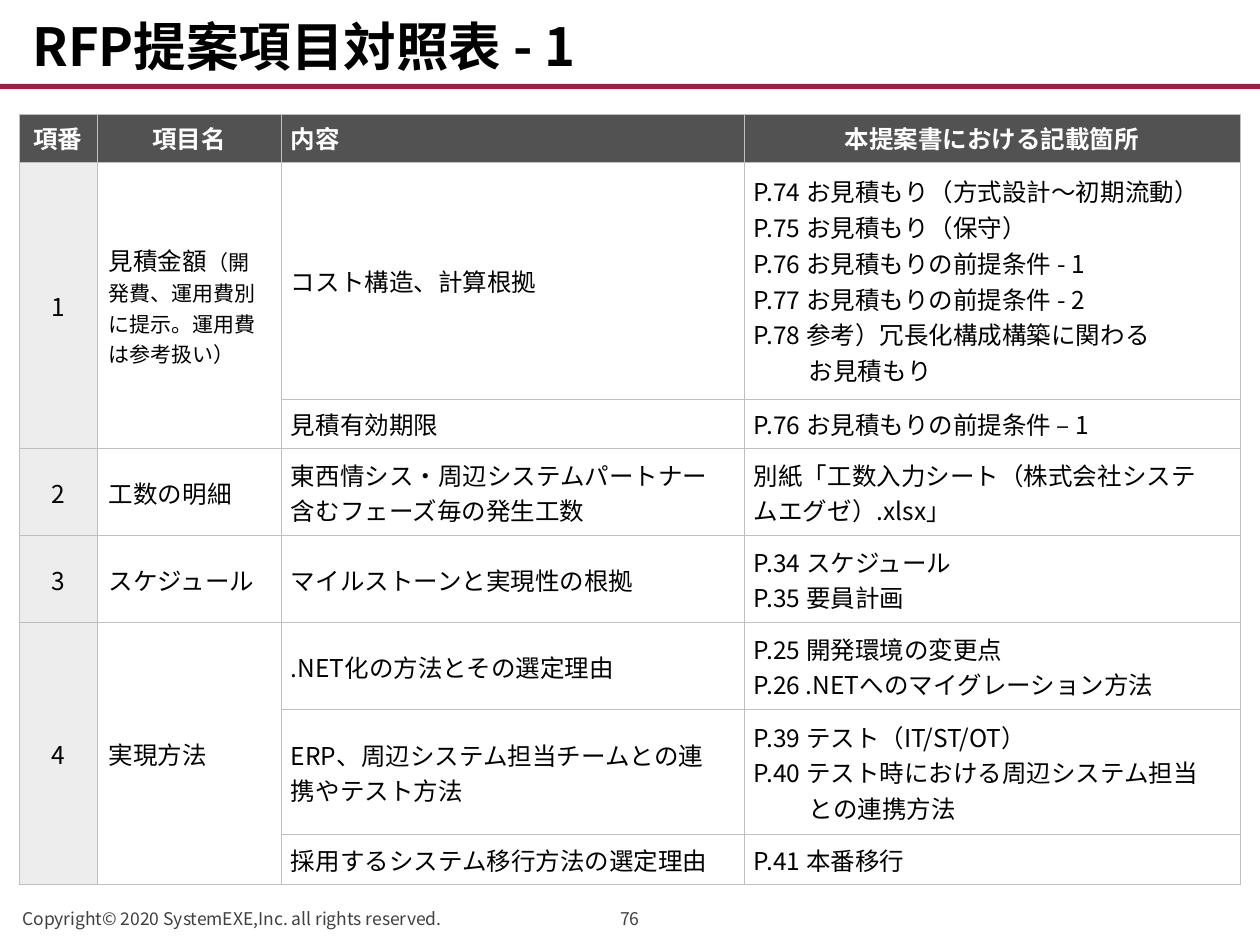
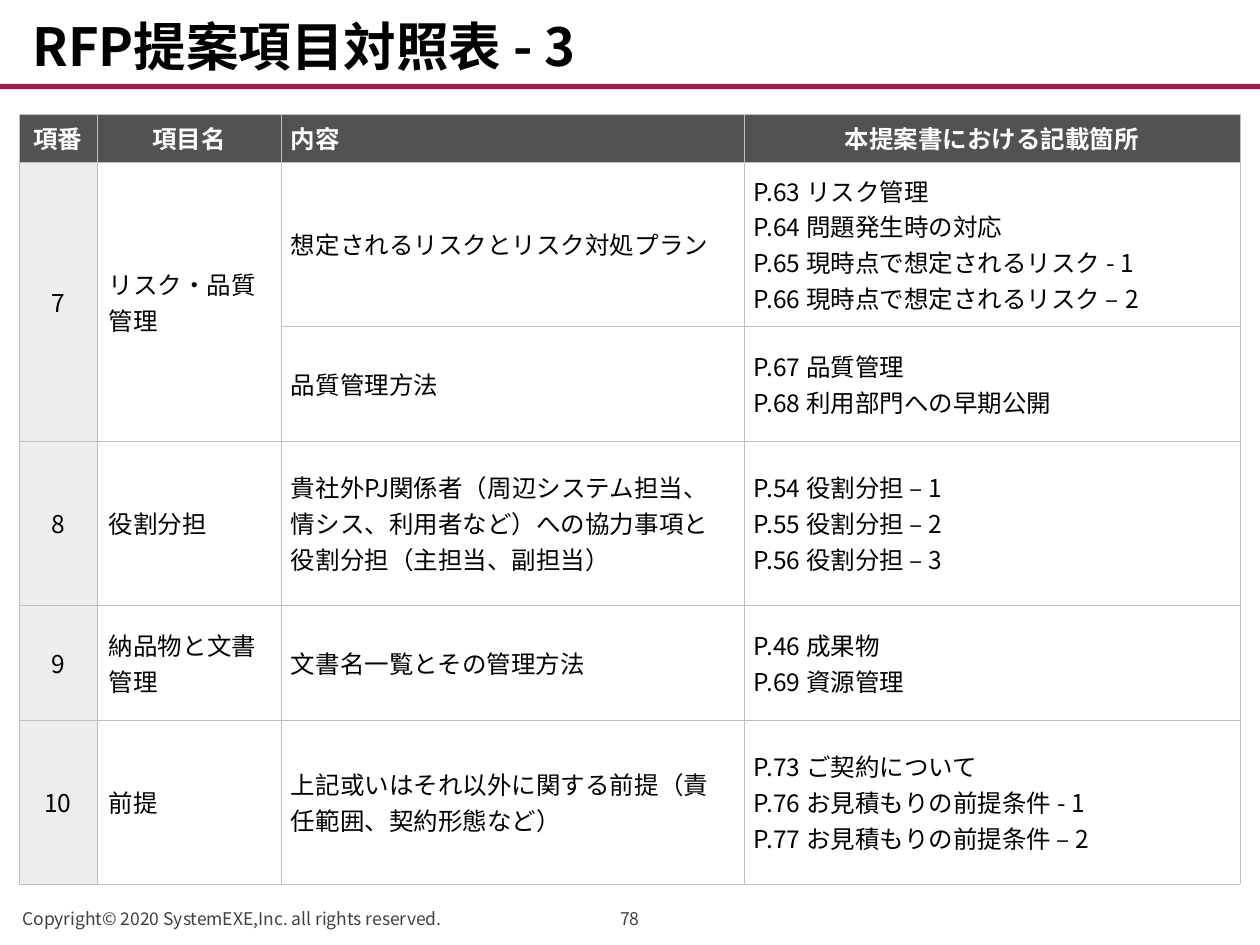
from dataclasses import dataclass

from lxml import etree
from pptx import Presentation
from pptx.dml.color import RGBColor
from pptx.enum.shapes import MSO_SHAPE
from pptx.enum.text import MSO_ANCHOR, PP_ALIGN
from pptx.oxml.ns import qn
from pptx.util import Pt

RECT = MSO_SHAPE.RECTANGLE
MIDDLE, BOTTOM = MSO_ANCHOR.MIDDLE, MSO_ANCHOR.BOTTOM
LEFT, CENTER = PP_ALIGN.LEFT, PP_ALIGN.CENTER


@dataclass(frozen=True)
class Theme:
    font: str = "Noto Sans CJK JP"
    black: str = "000000"
    white: str = "FFFFFF"
    accent: str = "A01D45"
    footer: str = "404040"
    header: str = "525252"
    number: str = "EDEDED"
    border: str = "BFBFBF"
    title_size: int = 30
    body_size: int = 14
    note_size: int = 12
    footer_size: int = 10
    border_width: float = 0.5


T = Theme()
EMU_PER_PX = 914400 / 126
SLIDE_W, SLIDE_H = 1260, 945
TITLE_BOX = (20, 5, 1221, 79)
RULE_BOX = (0, 84, SLIDE_W, 5)
TABLE_BOX = (19, 114, 1221)
COPYRIGHT_BOX = (10, 896, 535, 39)
PAGE_BOX = (580, 896, 100, 39)

COLUMNS = [78, 184, 463, 496]
HEADER_H = 48
HEADERS = [("項番", CENTER), ("項目名", CENTER), ("内容", LEFT),
           ("本提案書における記載箇所", CENTER)]
HEADER_INSETS = (10, 6, 10, 6)
ITEM_INSETS = (12, 5, 12, 5)
DETAIL_INSETS = (10, 5, 30, 5)
HANG = 55
COPYRIGHT = "Copyright© 2020 SystemEXE,Inc. all rights reserved."

SLIDES = [
    ("RFP提案項目対照表 - 1", "76", [
        ("1", "見積金額", "（開発費、運用費別に提示。運用費は参考扱い）", [
            (237, ["コスト構造、計算根拠"],
             ["P.74 お見積もり（方式設計～初期流動）",
              "P.75 お見積もり（保守）",
              "P.76 お見積もりの前提条件 - 1",
              "P.77 お見積もりの前提条件 - 2",
              "P.78 参考）冗長化構成構築に関わる",
              ("お見積もり", HANG)]),
            (50, ["見積有効期限"], ["P.76 お見積もりの前提条件 – 1"]),
        ]),
        ("2", "工数の明細", "", [
            (87, ["東西情シス・周辺システムパートナー含むフェーズ毎の発生工数"],
             ["別紙「工数入力シート（株式会社システムエグゼ）.xlsx」"]),
        ]),
        ("3", "スケジュール", "", [
            (87, ["マイルストーンと実現性の根拠"],
             ["P.34 スケジュール", "P.35 要員計画"]),
        ]),
        ("4", "実現方法", "", [
            (87, [".NET化の方法とその選定理由"],
             ["P.25 開発環境の変更点", "P.26 .NETへのマイグレーション方法"]),
            (125, ["ERP、周辺システム担当チームとの連携やテスト方法"],
             ["P.39 テスト（IT/ST/OT）",
              "P.40 テスト時における周辺システム担当",
              ("との連携方法", HANG)]),
            (50, ["採用するシステム移行方法の選定理由"], ["P.41 本番移行"]),
        ]),
    ]),
    ("RFP提案項目対照表 - 3", "78", [
        ("7", "リスク・品質管理", "", [
            (164, ["想定されるリスクとリスク対処プラン"],
             ["P.63 リスク管理",
              "P.64 問題発生時の対応",
              "P.65 現時点で想定されるリスク - 1",
              "P.66 現時点で想定されるリスク – 2"]),
            (115, ["品質管理方法"],
             ["P.67 品質管理", "P.68 利用部門への早期公開"]),
        ]),
        ("8", "役割分担", "", [
            (164, ["貴社外PJ関係者（周辺システム担当、情シス、利用者など）への協力事項と",
                   "役割分担（主担当、副担当）"],
             ["P.54 役割分担 – 1", "P.55 役割分担 – 2", "P.56 役割分担 – 3"]),
        ]),
        ("9", "納品物と文書管理", "", [
            (115, ["文書名一覧とその管理方法"],
             ["P.46 成果物", "P.69 資源管理"]),
        ]),
        ("10", "前提", "", [
            (164, ["上記或いはそれ以外に関する前提（責任範囲、契約形態など）"],
             ["P.73 ご契約について",
              "P.76 お見積もりの前提条件 - 1",
              "P.77 お見積もりの前提条件 – 2"]),
        ]),
    ]),
]


def px(n):
    return round(n * EMU_PER_PX)


def rgb(color):
    return RGBColor.from_string(color)


def add_run(p, text, size, color, bold=False):
    r = p.add_run()
    r.text = text
    r.font.size, r.font.bold, r.font.name = Pt(size), bold, T.font
    r.font.color.rgb = rgb(color)
    etree.SubElement(r.font._element, qn("a:ea"), typeface=T.font)


def add_text(s, box, text, size, color, bold=False, align=LEFT, wrap=True):
    tf = s.shapes.add_textbox(*map(px, box)).text_frame
    tf.word_wrap, tf.vertical_anchor = wrap, BOTTOM
    p = tf.paragraphs[0]
    p.alignment = align
    add_run(p, text, size, color, bold)
    return p


def add_borders(cell):
    tc_pr = cell._tc.get_or_add_tcPr()
    for side in ("lnL", "lnR", "lnT", "lnB"):
        ln = etree.SubElement(tc_pr, qn(f"a:{side}"), w=str(Pt(T.border_width)))
        fill = etree.SubElement(ln, qn("a:solidFill"))
        etree.SubElement(fill, qn("a:srgbClr"), val=T.border)


def style_cell(cell, fill, insets):
    add_borders(cell)
    cell.fill.solid()
    cell.fill.fore_color.rgb = rgb(fill)
    cell.vertical_anchor = MIDDLE
    (cell.margin_left, cell.margin_top,
     cell.margin_right, cell.margin_bottom) = map(px, insets)


def fill_cell(cell, lines, color=T.black, bold=False, align=LEFT):
    tf = cell.text_frame
    for i, line in enumerate(lines):
        text, indent = line if isinstance(line, tuple) else (line, 0)
        p = tf.paragraphs[0] if i == 0 else tf.add_paragraph()
        p.alignment = align
        if indent:
            p._p.get_or_add_pPr().set("marL", str(px(indent)))
        add_run(p, text, T.body_size, color, bold)


def add_header(table):
    table.rows[0].height = px(HEADER_H)
    for cell, (text, align) in zip(table.rows[0].cells, HEADERS):
        style_cell(cell, T.header, HEADER_INSETS)
        fill_cell(cell, [text], T.white, True, align)


def add_item(table, top, number, name, note, details):
    for row, (height, content, pages) in enumerate(details, top):
        table.rows[row].height = px(height)
        cells = list(table.rows[row].cells)
        style_cell(cells[0], T.number, ITEM_INSETS)
        style_cell(cells[1], T.white, ITEM_INSETS)
        for cell, lines in zip(cells[2:], (content, pages)):
            style_cell(cell, T.white, DETAIL_INSETS)
            fill_cell(cell, lines)
    last = top + len(details) - 1
    if last > top:
        for col in (0, 1):
            table.cell(top, col).merge(table.cell(last, col))
    fill_cell(table.cell(top, 0), [number], align=CENTER)
    fill_cell(table.cell(top, 1), [name])
    if note:
        p = table.cell(top, 1).text_frame.paragraphs[0]
        add_run(p, note, T.note_size, T.black)


def add_item_table(s, box, items):
    heights = [HEADER_H] + [d[0] for item in items for d in item[3]]
    frame = s.shapes.add_table(len(heights), len(COLUMNS),
                               *map(px, (*box, sum(heights))))
    table = frame.table
    table.first_row = table.horz_banding = False
    for column, width in zip(table.columns, COLUMNS):
        column.width = px(width)
    add_header(table)
    top = 1
    for item in items:
        add_item(table, top, *item)
        top += len(item[3])


def add_frame(s, title, page):
    rule = s.shapes.add_shape(RECT, *map(px, RULE_BOX))
    rule.shadow.inherit = False
    rule.fill.solid()
    rule.fill.fore_color.rgb = rgb(T.accent)
    rule.line.fill.background()
    p = add_text(s, TITLE_BOX, title, T.title_size, T.black, True, wrap=False)
    p.line_spacing = 0.9
    add_text(s, COPYRIGHT_BOX, COPYRIGHT, T.footer_size, T.footer)
    add_text(s, PAGE_BOX, page, T.footer_size, T.footer, align=CENTER)


def main():
    prs = Presentation()
    prs.slide_width, prs.slide_height = px(SLIDE_W), px(SLIDE_H)
    for title, page, items in SLIDES:
        s = prs.slides.add_slide(prs.slide_layouts[6])
        add_frame(s, title, page)
        add_item_table(s, TABLE_BOX, items)
    prs.save("out.pptx")


if __name__ == "__main__":
    main()
